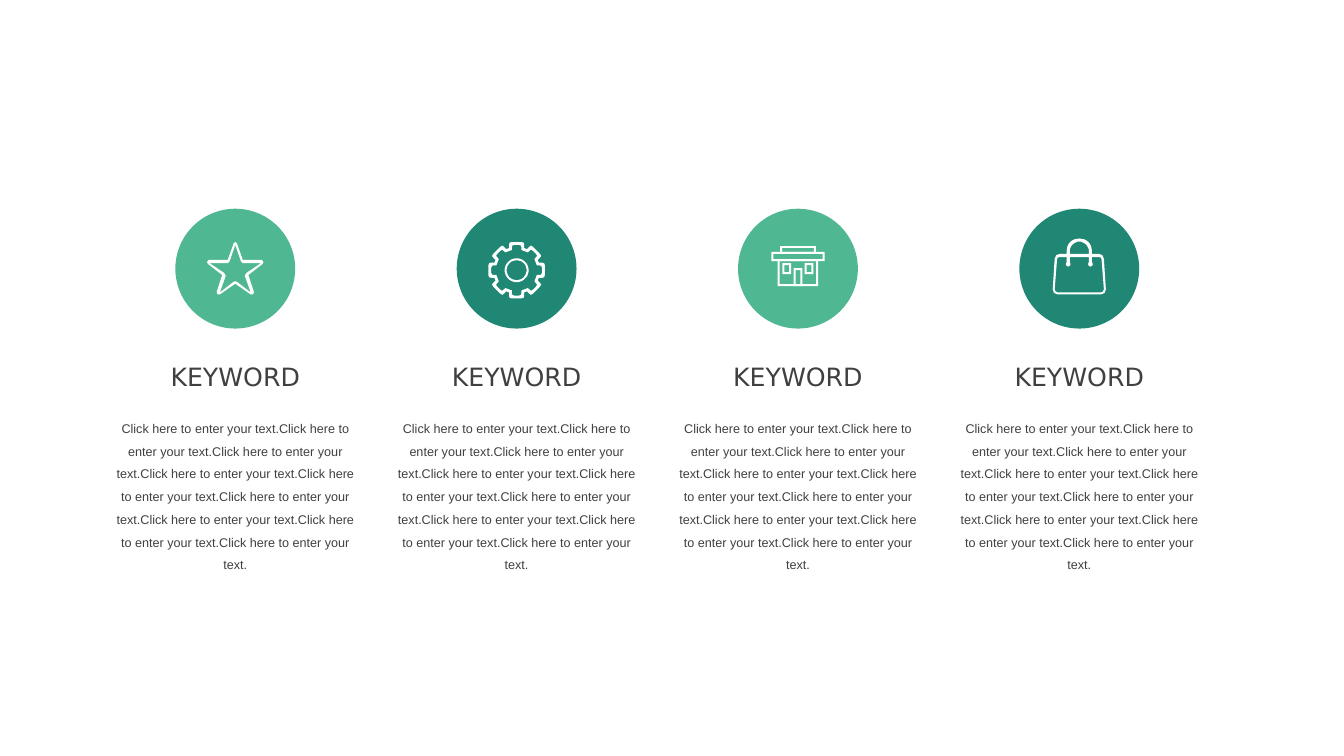
"""Build a slide with four icon columns, each with a keyword and a text."""
from math import cos, pi, sin

from pptx import Presentation
from pptx.dml.color import RGBColor
from pptx.enum.shapes import MSO_SHAPE
from pptx.enum.text import MSO_AUTO_SIZE, PP_ALIGN
from pptx.util import Cm, Pt

LIGHT_GREEN = RGBColor(0x4F, 0xB8, 0x92)
DARK_GREEN = RGBColor(0x20, 0x87, 0x74)
WHITE = RGBColor(0xFF, 0xFF, 0xFF)
GREY = RGBColor(0x40, 0x40, 0x40)

FIRST_CENTER = 5.93
COLUMN_STEP = 7.09
CIRCLE_MIDDLE = 6.77
DIAMETER = 3.02
FRAME_LINE = 5
BODY = "Click here to enter your text." * 9

prs = Presentation()
prs.slide_width, prs.slide_height = Cm(33.87), Cm(19.05)
s = prs.slides.add_slide(prs.slide_layouts[6])


def add_text(text, center, top, width, height, size, font, spacing=1.0):
    tb = s.shapes.add_textbox(Cm(center - width / 2), Cm(top), Cm(width), Cm(height))
    tf = tb.text_frame
    tf.word_wrap = True
    tf.auto_size = MSO_AUTO_SIZE.SHAPE_TO_FIT_TEXT
    p = tf.paragraphs[0]
    p.alignment = PP_ALIGN.CENTER
    p.line_spacing = spacing
    r = p.add_run()
    r.text = text
    r.font.size = Pt(size)
    r.font.name = font
    r.font.color.rgb = GREY


def add_icon(contours, center):
    fb = s.shapes.build_freeform(*contours[0][0], scale=Cm(0.01))
    for contour in contours:
        fb.move_to(*contour[0])
        fb.add_line_segments(contour[1:], close=True)
    sp = fb.convert_to_shape(Cm(center), Cm(CIRCLE_MIDDLE))
    sp.shadow.inherit = False
    sp.fill.solid()
    sp.fill.fore_color.rgb = WHITE
    sp.line.fill.background()


star_halves = [
    [(0, -67), (4, -64), (19, -22), (67, -22), (71, -17), (69, -12), (33, 16),
     (47, 59), (45, 65), (39, 65), (0, 38)],
    [(0, -60), (14, -19), (19, -14), (65, -14), (28, 11), (24, 18), (39, 60),
     (4, 33), (0, 32)],
]

handle_outer, handle_inner = [
    [(radius * sin(i * pi / 16), -44 - radius * cos(i * pi / 16)) for i in range(9)]
    for radius in (32, 24)
]
bag_halves = [
    handle_outer + [(32, -37), (50, -37), (58, -34), (62, -25), (67, 52), (64, 61), (55, 65)],
    handle_inner + [(24, -37)],
    [(24, -29), (24, -17), (22, -11), (24, -7), (28, -5), (32, -7), (34, -11),
     (32, -17), (32, -29), (50, -29), (54, -28), (56, -24), (62, 52), (60, 57), (55, 60)],
]
star, bag = [
    [half + [(-x, y) for x, y in reversed(half)] for half in halves]
    for halves in (star_halves, bag_halves)
]

tooth_halves = [
    [(13, -71), (18, -69), (19, -64), (19, -56)],
    [(6, -64), (11, -62), (12, -58), (12, -51)],
]
gear = []
for half in tooth_halves:
    tooth = [(-x, y) for x, y in reversed(half)] + half
    turns = [i * pi / 4 for i in range(8)]
    gear.append([(x * cos(a) - y * sin(a), 4 + x * sin(a) + y * cos(a))
                 for a in turns for x, y in tooth])
for radius in (30, 25):
    gear.append([(radius * cos(i * pi / 24), 4 + radius * sin(i * pi / 24)) for i in range(48)])

store_frames = [
    (-51, -24, 102, 68),
    (-39, -14, 22, 28),
    (17, -14, 22, 28),
    (-11, -1, 22, 45),
    (-67, -42, 134, 23),
    (-45, -57, 90, 20),
]
store = []
for x, y, w, h in store_frames:
    store.append([
        [(x + d, y + d), (x + w - d, y + d), (x + w - d, y + h - d), (x + d, y + h - d)]
        for d in (0, FRAME_LINE)
    ])

columns = [
    (LIGHT_GREEN, [star]),
    (DARK_GREEN, [gear]),
    (LIGHT_GREEN, store),
    (DARK_GREEN, [bag]),
]
for i, (color, icon_parts) in enumerate(columns):
    center = FIRST_CENTER + i * COLUMN_STEP
    circle = s.shapes.add_shape(
        MSO_SHAPE.OVAL, Cm(center - DIAMETER / 2), Cm(CIRCLE_MIDDLE - DIAMETER / 2),
        Cm(DIAMETER), Cm(DIAMETER))
    circle.shadow.inherit = False
    circle.fill.solid()
    circle.fill.fore_color.rgb = color
    circle.line.fill.background()
    for part in icon_parts:
        add_icon(part, center)
    add_text("KEYWORD", center, 8.99, 4.93, 1.02, size=18, font="DejaVu Sans")
    add_text(BODY, center, 10.29, 6.63, 4.29, size=9, font="Arial", spacing=1.5)

prs.save("out.pptx")
